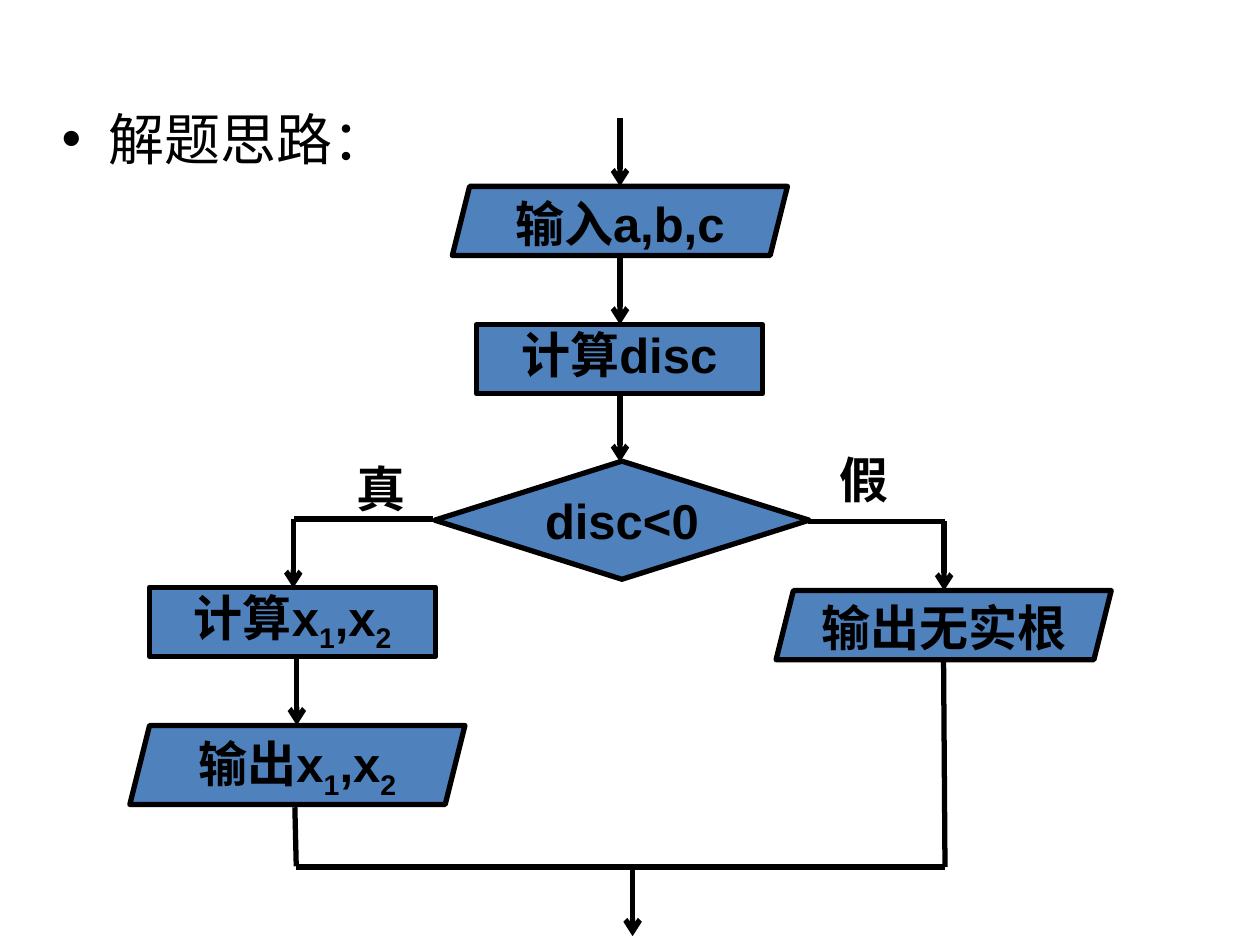
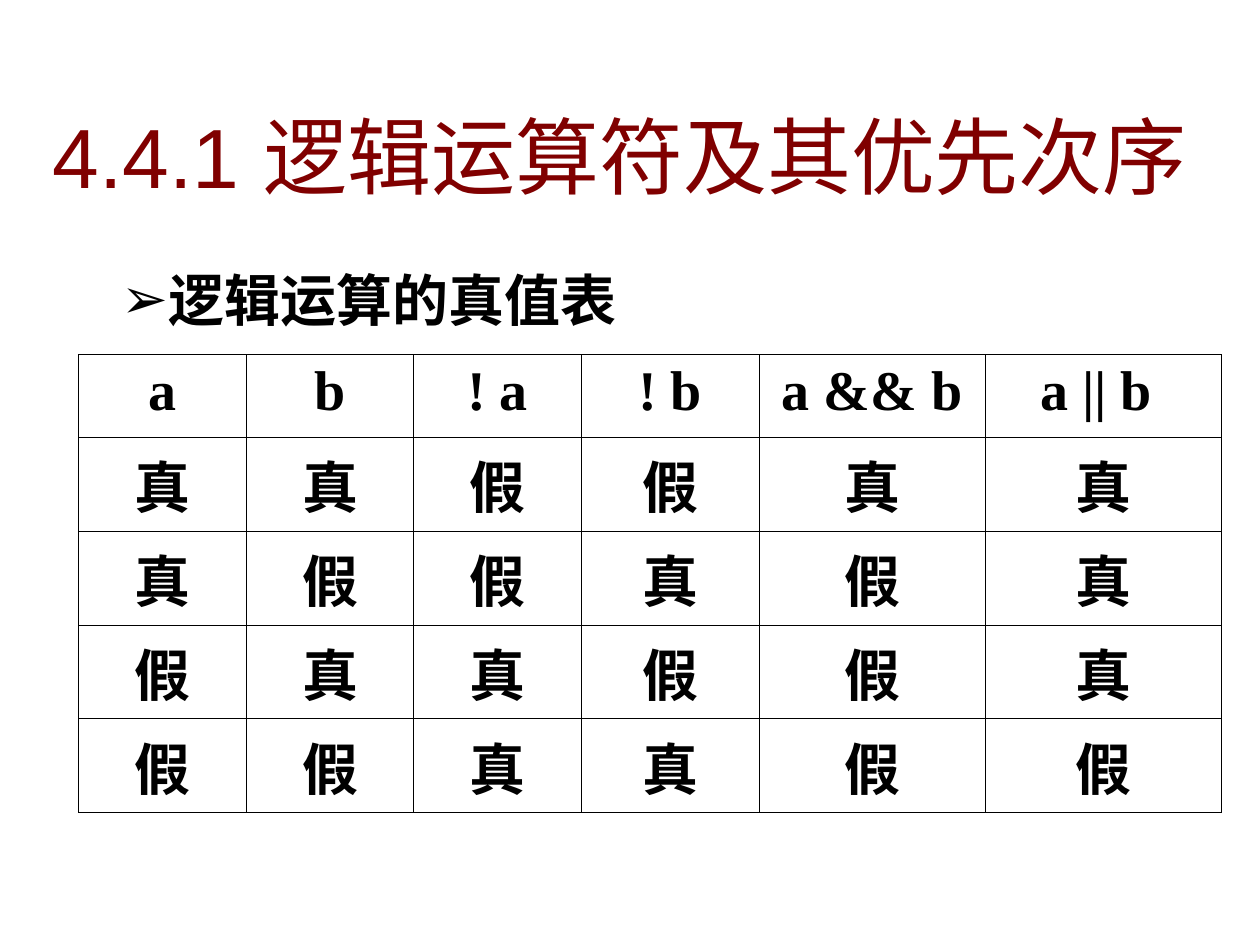
from dataclasses import dataclass

from lxml import etree
from pptx import Presentation
from pptx.dml.color import RGBColor
from pptx.enum import shapes, text
from pptx.oxml import ns
from pptx.util import Pt


@dataclass(frozen=True)
class Theme:
    ink: RGBColor = RGBColor(0, 0, 0)
    heading: RGBColor = RGBColor(0x80, 0, 0)
    node: RGBColor = RGBColor(0x4F, 0x81, 0xBD)
    title_size: int = 48
    list_size: int = 32
    node_size: int = 28
    flow_line: float = 3
    grid_line: float = 0.45


theme = Theme()
LEFT, CENTER = text.PP_ALIGN.LEFT, text.PP_ALIGN.CENTER


def add_xml(parent, tag, **attributes):
    return etree.SubElement(parent, ns.qn(tag), **attributes)


def write(frame, content, size=theme.list_size, font="Arial", bold=True,
          color=theme.ink, align=CENTER, bullet=None, spacing=1.0):
    paragraph = frame.paragraphs[0]
    paragraph.alignment = align
    paragraph.line_spacing = spacing
    paragraph.space_before = Pt(0)
    if bullet:
        properties = paragraph._p.get_or_add_pPr()
        properties.set("marL", str(Pt(27)))
        properties.set("indent", str(Pt(-27)))
        bullet_color = add_xml(properties, "a:buClr")
        add_xml(bullet_color, "a:srgbClr", val=str(theme.ink))
        add_xml(properties, "a:buFont", typeface="Arial")
        add_xml(properties, "a:buChar", char=bullet)
    base, *indexed = content.split("_")
    pieces = [(base, False)]
    for part in indexed:
        pieces += [(part[0], True), (part[1:], False)]
    for piece, subscript in pieces:
        if not piece:
            continue
        run = paragraph.add_run()
        run.text = piece
        run.font.size = Pt(size)
        run.font.name = font
        run.font.bold = bold
        run.font.color.rgb = color
        if subscript:
            run._r.get_or_add_rPr().set("baseline", "-25000")


deck = Presentation()
deck.slide_width, deck.slide_height = Pt(720), Pt(540)
content_layout = deck.slide_layouts[1]

flow = deck.slides.add_slide(content_layout)
unused_title = flow.shapes.title.element
unused_title.getparent().remove(unused_title)
truth = deck.slides.add_slide(content_layout)

headings = [
    (flow, (28, 56.2, 214, 62), "解题思路：",
     dict(font="Calibri", bold=False, bullet="•")),
    (truth, (62, 140.4, 343.5, 50.4), "逻辑运算的真值表",
     dict(bullet="➢", spacing=1.2)),
]
for slide, place, words, style in headings:
    body = slide.placeholders[1]
    body.left, body.top, body.width, body.height = map(Pt, place)
    body.text_frame.auto_size = text.MSO_AUTO_SIZE.NONE
    write(body.text_frame, words, align=LEFT, **style)

DATA = shapes.MSO_SHAPE.PARALLELOGRAM
PROCESS = shapes.MSO_SHAPE.FLOWCHART_PROCESS
DECISION = shapes.MSO_SHAPE.FLOWCHART_DECISION
steps = [
    (DATA, 258.5, 106.5, 191.5, 39.5, "输入a,b,c"),
    (PROCESS, 272.2, 185.5, 163.5, 39.5, "计算disc"),
    (DECISION, 248.4, 263.5, 214, 67.5, "disc<0"),
    (PROCESS, 85.5, 335.5, 163.5, 39.5, "计算x_1,x_2"),
    (DATA, 443.5, 337.5, 191.5, 39.5, "输出无实根"),
    (DATA, 74.2, 414.5, 191.5, 45.2, "输出x_1,x_2"),
]
for kind, left, top, width, height, words in steps:
    step = flow.shapes.add_shape(kind, Pt(left), Pt(top), Pt(width), Pt(height))
    step.shadow.inherit = False
    step.fill.solid()
    step.fill.fore_color.rgb = theme.node
    step.line.color.rgb = theme.ink
    step.line.width = Pt(theme.flow_line)
    frame = step.text_frame
    frame.margin_left = frame.margin_right = frame.margin_top = frame.margin_bottom = 0
    frame.word_wrap = False
    frame.vertical_anchor = text.MSO_ANCHOR.TOP
    write(frame, words, size=theme.node_size)

main_axis, true_axis, false_axis, merge_level = 354.3, 168, 539.5, 495.4
arrows = [
    (main_axis, 67.5, main_axis, 106.5),
    (main_axis, 146, main_axis, 185.5),
    (main_axis, 225, main_axis, 264),
    (167.6, 296.6, 167.6, 336),
    (169.6, 375, 169.6, 414.5),
    (false_axis, 298, false_axis, 337.5),
    (361.5, 496, 361.5, 535),
]
plain_lines = [
    (true_axis, 296.6, 247.5, 296.6),
    (461.5, 298, 540, 298),
    (169, merge_level, 540, merge_level),
    (540, merge_level, 539.2, 376.8),
    (169.3, 495, 168.5, 461.3),
]
for ends in arrows + plain_lines:
    link = flow.shapes.add_connector(shapes.MSO_CONNECTOR.STRAIGHT, *map(Pt, ends))
    link.line.color.rgb = theme.ink
    link.line.width = Pt(theme.flow_line)
    if ends in arrows:
        add_xml(link.line._get_or_add_ln(), "a:tailEnd", type="arrow")
    add_xml(link._element.spPr, "a:effectLst")

for left, top, answer in [(196.8, 258.3, "真"), (472.4, 253.1, "假")]:
    branch = flow.shapes.add_textbox(Pt(left), Pt(top), Pt(39.6), Pt(41))
    branch.text_frame.word_wrap = True
    write(branch.text_frame, answer, size=theme.node_size, align=LEFT)

title = truth.shapes.title
title.left, title.top, title.width, title.height = map(Pt, (16.6, 39.6, 675.4, 98))
title.text_frame.vertical_anchor = text.MSO_ANCHOR.MIDDLE
write(title.text_frame, "4.4.1 逻辑运算符及其优先次序", size=theme.title_size,
      bold=False, color=theme.heading)

truth_rows = [
    ["a", "b", "! a", "! b", "a && b", "a || b "],
    *map(list, ["真真假假真真", "真假假真假真", "假真真假假真", "假假真真假假"]),
]
column_widths = [95.75, 95.75, 95.75, 101.5, 129.3, 134.7]
row_height = 47.3
grid = truth.shapes.add_table(
    len(truth_rows), len(column_widths), Pt(45), Pt(202.5),
    Pt(sum(column_widths)), Pt(row_height * len(truth_rows))).table
grid.first_row = grid.horz_banding = False
for column, width in zip(grid.columns, column_widths):
    column.width = Pt(width)
for row, values in zip(grid.rows, truth_rows):
    row.height = Pt(row_height)
    for cell, value in zip(row.cells, values):
        cell.margin_left = cell.margin_right = Pt(5.8)
        cell.margin_top = cell.margin_bottom = Pt(3.6)
        write(cell.text_frame, value, font="Times New Roman")
        cell_properties = cell._tc.get_or_add_tcPr()
        for side in ("a:lnL", "a:lnR", "a:lnT", "a:lnB"):
            border = add_xml(cell_properties, side, w=str(Pt(theme.grid_line)))
            border_fill = add_xml(border, "a:solidFill")
            add_xml(border_fill, "a:srgbClr", val=str(theme.ink))
        cell.fill.background()

deck.save("out.pptx")
